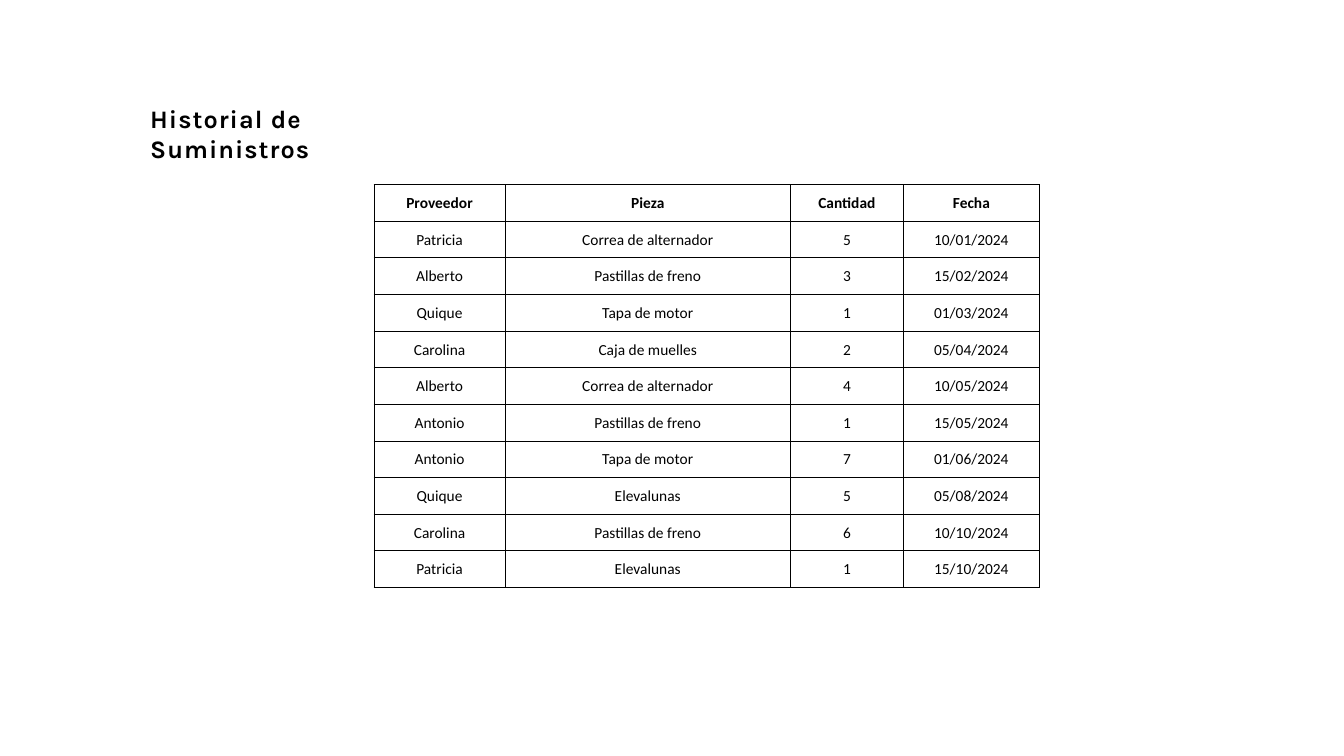
import lxml.etree
import pptx
import pptx.dml.color
import pptx.enum.text
import pptx.oxml.ns
import pptx.util

Inches = pptx.util.Inches
Pt = pptx.util.Pt
ALIGN = pptx.enum.text.PP_ALIGN
ANCHOR = pptx.enum.text.MSO_ANCHOR

TITLE = "Historial de Suministros"
SUPPLIES = [
    ("Proveedor", "Pieza", "Cantidad", "Fecha"),
    ("Patricia", "Correa de alternador", "5", "10/01/2024"),
    ("Alberto", "Pastillas de freno", "3", "15/02/2024"),
    ("Quique", "Tapa de motor", "1", "01/03/2024"),
    ("Carolina", "Caja de muelles", "2", "05/04/2024"),
    ("Alberto", "Correa de alternador", "4", "10/05/2024"),
    ("Antonio", "Pastillas de freno", "1", "15/05/2024"),
    ("Antonio", "Tapa de motor", "7", "01/06/2024"),
    ("Quique", "Elevalunas", "5", "05/08/2024"),
    ("Carolina", "Pastillas de freno", "6", "10/10/2024"),
    ("Patricia", "Elevalunas", "1", "15/10/2024"),
]
COLUMN_WIDTHS = [1.3, 2.83, 1.12, 1.35]
TABLE_LEFT, TABLE_TOP, TABLE_HEIGHT = 3.71, 1.83, 4
BLACK, WHITE = "000000", "FFFFFF"
LETTER_SPACING = 75  # hundredths of a point
TITLE_FONT = {"name": "Karla", "size": Pt(18), "bold": True}
CELL_FONT = {"name": "Calibri", "size": Pt(11)}
TITLE_PLACE = {"left": 1.39, "top": 0.97, "width": 2.98, "height": 0.4}
TITLE_FRAME = {
    "word_wrap": True,
    "vertical_anchor": ANCHOR.TOP,
    "auto_size": pptx.enum.text.MSO_AUTO_SIZE.SHAPE_TO_FIT_TEXT,
}
CELL_FORMAT = {
    "vertical_anchor": ANCHOR.MIDDLE,
    "margin_left": Inches(0.01),
    "margin_right": Inches(0.01),
    "margin_top": Inches(0.01),
    "margin_bottom": 0,
}


def rgb(color):
    return pptx.dml.color.RGBColor.from_string(color)


def set_format(target, values):
    for name, value in values.items():
        setattr(target, name, value)


def style_font(font, values):
    set_format(font, values)
    font.color.rgb = rgb(BLACK)


def add_borders(cell, color, width):
    """Draw all four sides; the lines must stand before the cell's fill."""
    qn = pptx.oxml.ns.qn
    properties = cell._tc.get_or_add_tcPr()
    for position, side in enumerate(("a:lnL", "a:lnR", "a:lnT", "a:lnB")):
        line = lxml.etree.Element(qn(side), w=str(Pt(width)))
        fill = lxml.etree.SubElement(line, qn("a:solidFill"))
        lxml.etree.SubElement(fill, qn("a:srgbClr"), val=color)
        properties.insert(position, line)


def add_title(slide):
    title = slide.shapes.title
    set_format(title, {name: Inches(value) for name, value in TITLE_PLACE.items()})
    set_format(title.text_frame, TITLE_FRAME)
    paragraph = title.text_frame.paragraphs[0]
    paragraph.alignment = ALIGN.LEFT
    run = paragraph.add_run()
    run.text = TITLE
    style_font(run.font, TITLE_FONT)
    run._r.get_or_add_rPr().set("spc", str(LETTER_SPACING))


def add_supply_table(slide):
    table = slide.shapes.add_table(
        len(SUPPLIES), len(COLUMN_WIDTHS), Inches(TABLE_LEFT), Inches(TABLE_TOP),
        Inches(sum(COLUMN_WIDTHS)), Inches(TABLE_HEIGHT)).table
    table.horz_banding = False
    for column, width in zip(table.columns, COLUMN_WIDTHS):
        column.width = Inches(width)
    for row_index, values in enumerate(SUPPLIES):
        for column_index, value in enumerate(values):
            cell = table.cell(row_index, column_index)
            set_format(cell, CELL_FORMAT)
            cell.fill.solid()
            cell.fill.fore_color.rgb = rgb(WHITE)
            add_borders(cell, BLACK, 0.5)
            paragraph = cell.text_frame.paragraphs[0]
            paragraph.alignment = ALIGN.CENTER
            run = paragraph.add_run()
            run.text = value
            style_font(run.font, {**CELL_FONT, "bold": row_index == 0})


def main():
    presentation = pptx.Presentation()
    presentation.slide_width = Inches(13.33)
    presentation.slide_height = Inches(7.5)
    slide = presentation.slides.add_slide(presentation.slide_layouts.get_by_name("Title Only"))
    add_title(slide)
    add_supply_table(slide)
    presentation.save("out.pptx")


if __name__ == "__main__":
    main()
